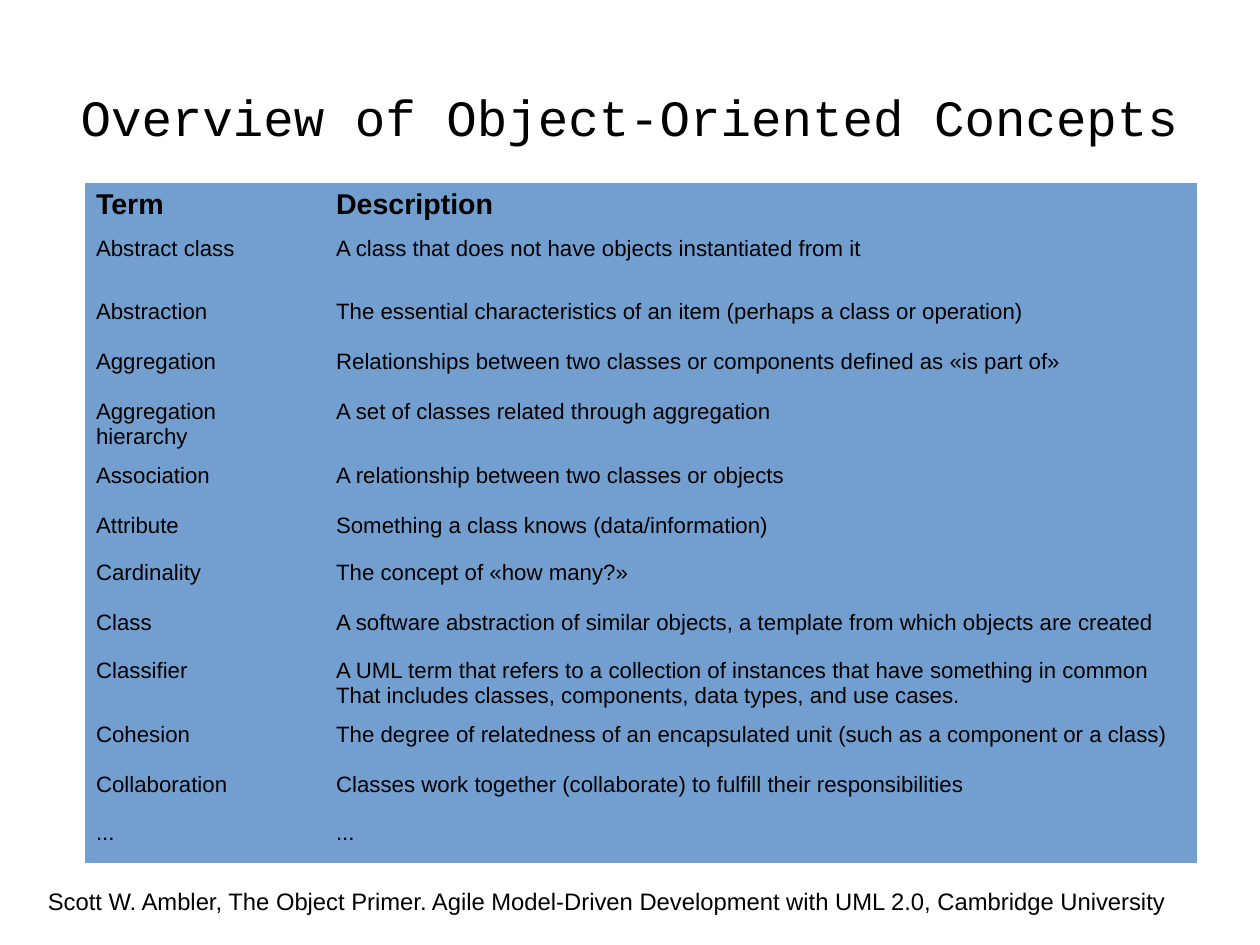
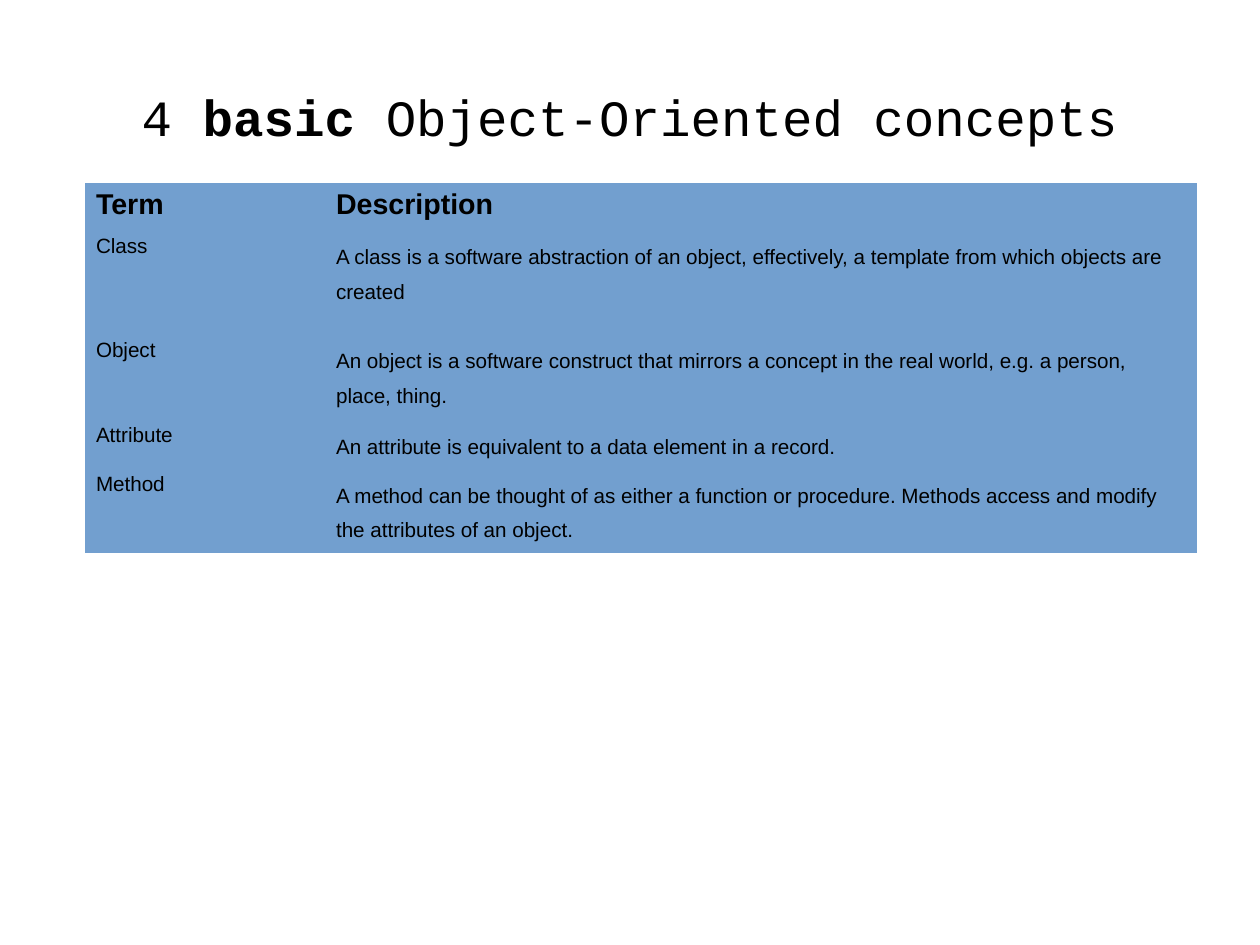
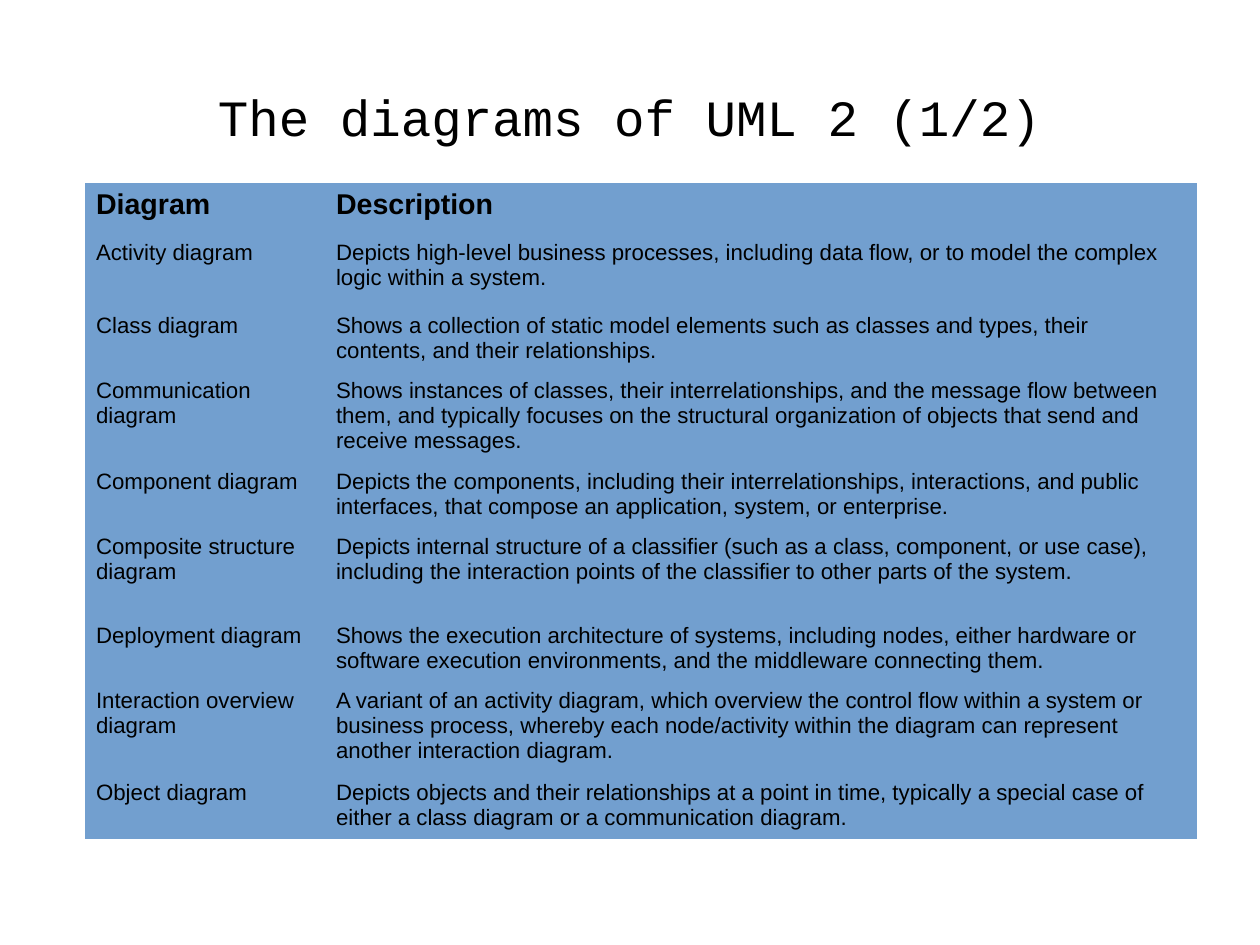
from lxml.etree import SubElement
from pptx import Presentation
from pptx.dml.color import RGBColor
from pptx.enum.text import MSO_ANCHOR, PP_ALIGN
from pptx.oxml.ns import qn
from pptx.util import Cm, Inches, Pt

# Shared look
SLIDE_WIDTH, SLIDE_HEIGHT = Cm(28), Cm(21)
WIDTH, HEIGHT = SLIDE_WIDTH.inches, SLIDE_HEIGHT.inches
BLACK = RGBColor(0x00, 0x00, 0x00)
BLUE = RGBColor(0x72, 0x9F, 0xCF)
BODY_FONT, TITLE_FONT = "Arial", "Courier New"
NO_STYLE_NO_GRID = "{2D5ABB26-0587-4C30-8999-92F81FD0307C}"

# Shared places, in inches
TITLE_AREA = (0.05 * WIDTH, 0.04 * HEIGHT, 0.9 * WIDTH, HEIGHT / 6)
SOURCE_AREA = (0.32, 7.71, 0.95 * WIDTH, HEIGHT - 7.71)
TABLE_LEFT, TABLE_TOP = 0.74, 1.6
COLUMNS = (2.1, 7.63)

# Content: one (term, description) pair for each row
CONCEPTS = [
    ("Term", "Description"),
    ("Abstract class", "A class that does not have objects instantiated from it"),
    ("Abstraction", "The essential characteristics of an item (perhaps a class or operation)"),
    ("Aggregation", "Relationships between two classes or components defined as «is part of»"),
    ("Aggregation hierarchy", "A set of classes related through aggregation"),
    ("Association", "A relationship between two classes or objects"),
    ("Attribute", "Something a class knows (data/information)"),
    ("Cardinality", "The concept of «how many?»"),
    ("Class", "A software abstraction of similar objects, a template from which objects are created"),
    ("Classifier", "A UML term that refers to a collection of instances that have something in common\n"
                   "That includes classes, components, data types, and use cases."),
    ("Cohesion", "The degree of relatedness of an encapsulated unit (such as a component or a class)"),
    ("Collaboration", "Classes work together (collaborate) to fulfill their responsibilities"),
    ("...", "..."),
]
CONCEPT_ROWS = [0.42, 0.55, 0.44, 0.43, 0.54] + [0.43, 0.42] * 2 + [0.55, 0.43, 0.42, 0.43]

BASICS = [
    ("Term", "Description"),
    ("Class", "A class is a software abstraction of an object, effectively, "
              "a template from which objects are created"),
    ("Object", "An object is a software construct that mirrors a concept in the real world, "
               "e.g. a person, place, thing."),
    ("Attribute", "An attribute is equivalent to a data element in a record."),
    ("Method", "A method can be thought of as either a function or procedure. "
               "Methods access and modify the attributes of an object."),
]
BASIC_ROWS = [0.38, 0.91, 0.71, 0.4, 0.71]

DIAGRAMS = [
    ("Diagram", "Description"),
    ("Activity diagram", "Depicts high-level business processes, including data flow, "
                         "or to model the complex logic within a system."),
    ("Class diagram", "Shows a collection of static model elements such as classes and types, "
                      "their contents, and their relationships."),
    ("Communication diagram", "Shows instances of classes, their interrelationships, and the message flow "
                              "between them, and typically focuses on the structural organization of "
                              "objects that send and receive messages."),
    ("Component diagram", "Depicts the components, including their interrelationships, interactions, and "
                          "public interfaces, that compose an application, system, or enterprise."),
    ("Composite structure diagram", "Depicts internal structure of a classifier (such as a class, component, "
                                    "or use case), including the interaction points of the classifier to "
                                    "other parts of the system."),
    ("Deployment diagram", "Shows the execution architecture of systems, including nodes, either hardware or "
                           "software execution environments, and the middleware connecting them."),
    ("Interaction overview diagram", "A variant of an activity diagram, which overview the control flow within "
                                     "a system or business process, whereby each node/activity within the "
                                     "diagram can represent another interaction diagram."),
    ("Object diagram", "Depicts objects and their relationships at a point in time, typically a special case "
                       "of either a class diagram or a communication diagram."),
]
DIAGRAM_ROWS = [0.45, 0.64] + [0.56, 0.78] * 3 + [0.57]


def write(frame, text, size, font=BODY_FONT, bold=False, align=PP_ALIGN.LEFT, spacing=None):
    """Fill a text frame: a newline starts a paragraph, ** marks toggle bold."""
    for number, line in enumerate(text.split("\n")):
        paragraph = frame.add_paragraph() if number else frame.paragraphs[0]
        paragraph.alignment = align
        if spacing:
            paragraph.line_spacing = spacing
        for part, words in enumerate(line.split("**")):
            run = paragraph.add_run()
            run.text = words
            run.font.name = font
            run.font.size = Pt(size)
            run.font.bold = bold or part % 2 == 1
            run.font.color.rgb = BLACK
        # The paragraph mark takes the text size, so it does not stretch the row
        SubElement(paragraph._p, qn("a:endParaRPr")).set("sz", str(size * 100))


def add_text(slide, area, text, **text_format):
    frame = slide.shapes.add_textbox(*map(Inches, area)).text_frame
    frame.word_wrap = True
    write(frame, text, **text_format)
    return frame


def add_title(slide, text):
    frame = add_text(slide, TITLE_AREA, text, size=32, font=TITLE_FONT, align=PP_ALIGN.CENTER)
    frame.vertical_anchor = MSO_ANCHOR.MIDDLE
    frame.margin_left = frame.margin_right = frame.margin_top = frame.margin_bottom = 0


def add_glossary(slide, entries, heights, size, spacing=None):
    area = (TABLE_LEFT, TABLE_TOP, sum(COLUMNS), sum(heights))
    table = slide.shapes.add_table(len(entries), len(COLUMNS), *map(Inches, area)).table
    table.horz_banding = False
    table._tbl.tblPr.find(qn("a:tableStyleId")).text = NO_STYLE_NO_GRID
    for column, width in zip(table.columns, COLUMNS):
        column.width = Inches(width)
    for row_number, (entry, height) in enumerate(zip(entries, heights)):
        table.rows[row_number].height = Inches(height)
        heading = row_number == 0
        for column_number, text in enumerate(entry):
            cell = table.cell(row_number, column_number)
            cell.fill.solid()
            cell.fill.fore_color.rgb = BLUE
            description = column_number == 1 and not heading
            write(cell.text_frame, text, size=18 if heading else size, bold=heading,
                  spacing=spacing if description else None)


def add_glossary_slide(deck, title, entries, heights, size=14, spacing=None):
    slide = deck.slides.add_slide(deck.slide_layouts[6])
    add_title(slide, title)
    add_glossary(slide, entries, heights, size, spacing)
    return slide


def main():
    deck = Presentation()
    deck.slide_width, deck.slide_height = SLIDE_WIDTH, SLIDE_HEIGHT

    # Overview, with its source
    overview = add_glossary_slide(deck, "Overview of Object-Oriented Concepts", CONCEPTS, CONCEPT_ROWS)
    add_text(overview, SOURCE_AREA,
             "Scott W. Ambler, The Object Primer. Agile Model-Driven Development with UML 2.0, "
             "Cambridge University", size=15)

    # Basic concepts
    add_glossary_slide(deck, "4 **basic** Object-Oriented concepts", BASICS, BASIC_ROWS,
                       size=13, spacing=1.5)

    # Diagrams
    add_glossary_slide(deck, "The diagrams of UML 2 (1/2)", DIAGRAMS, DIAGRAM_ROWS)

    deck.save("out.pptx")


if __name__ == "__main__":
    main()
